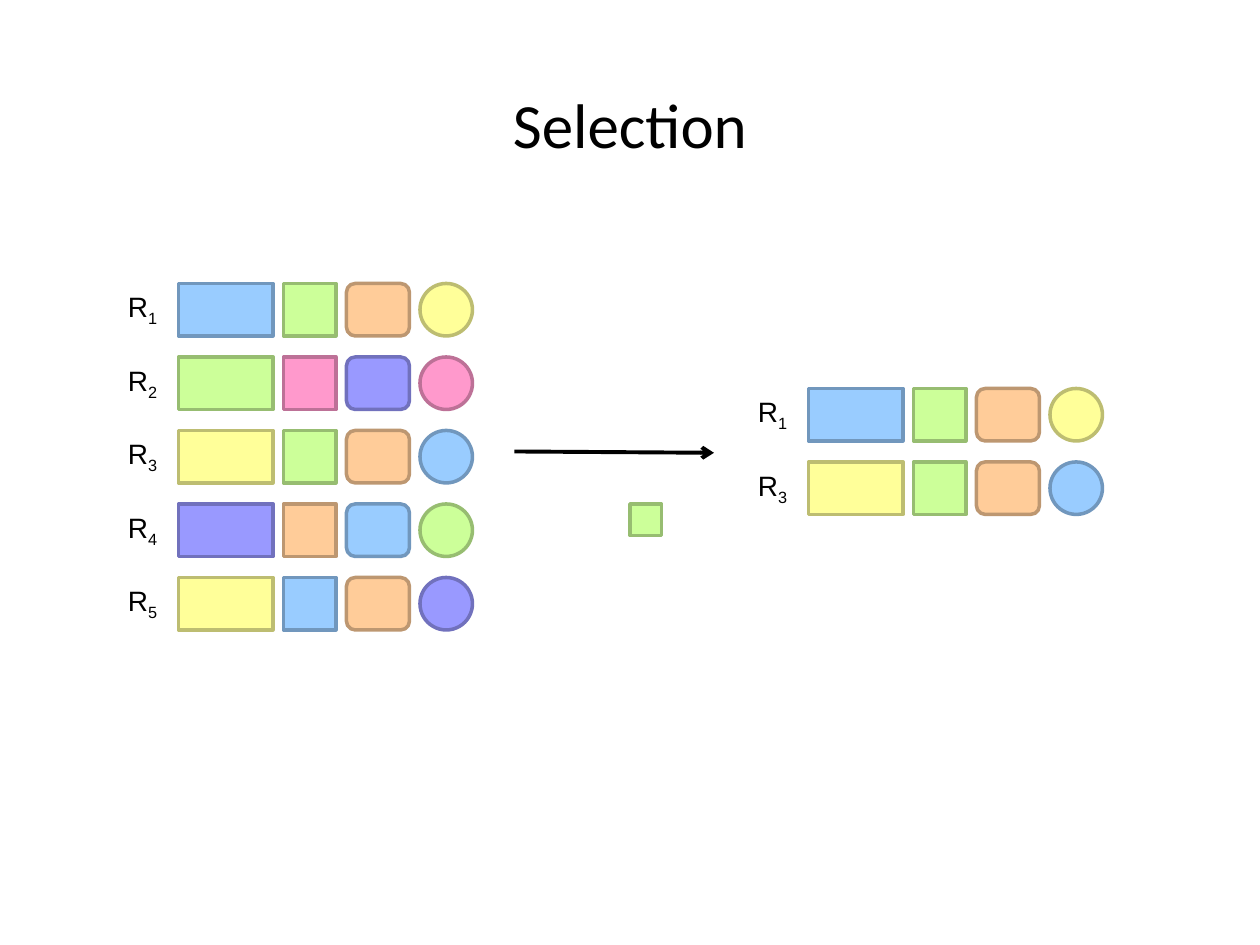
from lxml import etree
from pptx import Presentation
from pptx import util as u
from pptx.dml.color import RGBColor
from pptx.enum import shapes, text
from pptx.oxml.ns import qn

PX = 9525  # EMU per px, 96 px to the inch

TITLE = "Selection"
COLORS = {  # name: (fill, outline)
    "blue": ("99CCFF", "7197BD"),
    "green": ("CCFF99", "97BD71"),
    "orange": ("FFCC99", "BD9771"),
    "yellow": ("FFFF99", "BDBD71"),
    "pink": ("FF99CC", "BD7197"),
    "violet": ("9999FF", "7171BD"),
}
RECORDS = {
    "1": ("blue", "green", "orange", "yellow"),
    "2": ("green", "pink", "violet", "pink"),
    "3": ("yellow", "green", "orange", "blue"),
    "4": ("violet", "orange", "blue", "green"),
    "5": ("yellow", "blue", "orange", "violet"),
}
RELATIONS = [  # left, top, record numbers
    (88, 216, "12345"),
    (568, 296, "13"),
]
RECT = shapes.MSO_SHAPE.RECTANGLE
FIELDS = [  # preset, offset from the label, width
    (RECT, 48, 72),
    (RECT, 128, 40),
    (shapes.MSO_SHAPE.ROUNDED_RECTANGLE, 176, 48),
    (shapes.MSO_SHAPE.OVAL, 232, 40),
]
FIELD_HEIGHT, ROW_PITCH = 40, 56
LABEL_SIZE = (43, 35)
CRITERION = (480, 384, 24, 24)
ARROW = (392, 344, 544, 345)
TITLE_BOX = (0, 58, 960, 72)


def px(*values):
    return [u.Emu(v * PX) for v in values]


def rgb(value):
    return RGBColor.from_string(value)


def add_field(s, preset, box, color):
    fill, outline = COLORS[color]
    sp = s.shapes.add_shape(preset, *px(*box))
    sp.shadow.inherit = False
    sp.fill.solid()
    sp.fill.fore_color.rgb = rgb(fill)
    sp.line.color.rgb = rgb(outline)
    sp.line.width = u.Pt(2)


def add_text(s, box, runs, font, frame):
    """Add a one-paragraph text box and return its paragraph."""
    tf = s.shapes.add_textbox(*px(*box)).text_frame
    for name, value in frame.items():
        setattr(tf, name, value)
    p = tf.paragraphs[0]
    for words in runs:
        r = p.add_run()
        r.text = words
        r.font.color.rgb = rgb("000000")
        for name, value in font.items():
            setattr(r.font, name, value)
    return p


def add_label(s, left, top, number):
    p = add_text(s, (left, top, *LABEL_SIZE), ("R", number),
                 {"name": "Arial", "size": u.Pt(16)},
                 {"word_wrap": False,
                  "auto_size": text.MSO_AUTO_SIZE.SHAPE_TO_FIT_TEXT})
    p.runs[1].font._element.set("baseline", "-25000")


def add_relation(s, left, top, numbers):
    for row, number in enumerate(numbers):
        y = top + row * ROW_PITCH
        add_label(s, left, y, number)
        for (preset, offset, width), color in zip(FIELDS, RECORDS[number]):
            add_field(s, preset, (left + offset, y, width, FIELD_HEIGHT), color)


def add_arrow(s, ends):
    arrow = s.shapes.add_connector(shapes.MSO_CONNECTOR.STRAIGHT, *px(*ends))
    arrow.line.color.rgb = rgb("000000")
    arrow.line.width = u.Pt(2.25)
    etree.SubElement(arrow.line._get_or_add_ln(), qn("a:tailEnd"), type="arrow")
    etree.SubElement(arrow._element.spPr, qn("a:effectLst"))


def main():
    prs = Presentation()
    prs.slide_width, prs.slide_height = px(960, 720)
    s = prs.slides.add_slide(prs.slide_layouts[6])
    for relation in RELATIONS:
        add_relation(s, *relation)
    add_field(s, RECT, CRITERION, "green")
    add_arrow(s, ARROW)
    title = add_text(s, TITLE_BOX, (TITLE,),
                     {"name": "Calibri", "size": u.Pt(36)},
                     {"word_wrap": True,
                      "vertical_anchor": text.MSO_ANCHOR.MIDDLE})
    title.alignment = text.PP_ALIGN.CENTER
    prs.save("out.pptx")


if __name__ == "__main__":
    main()
